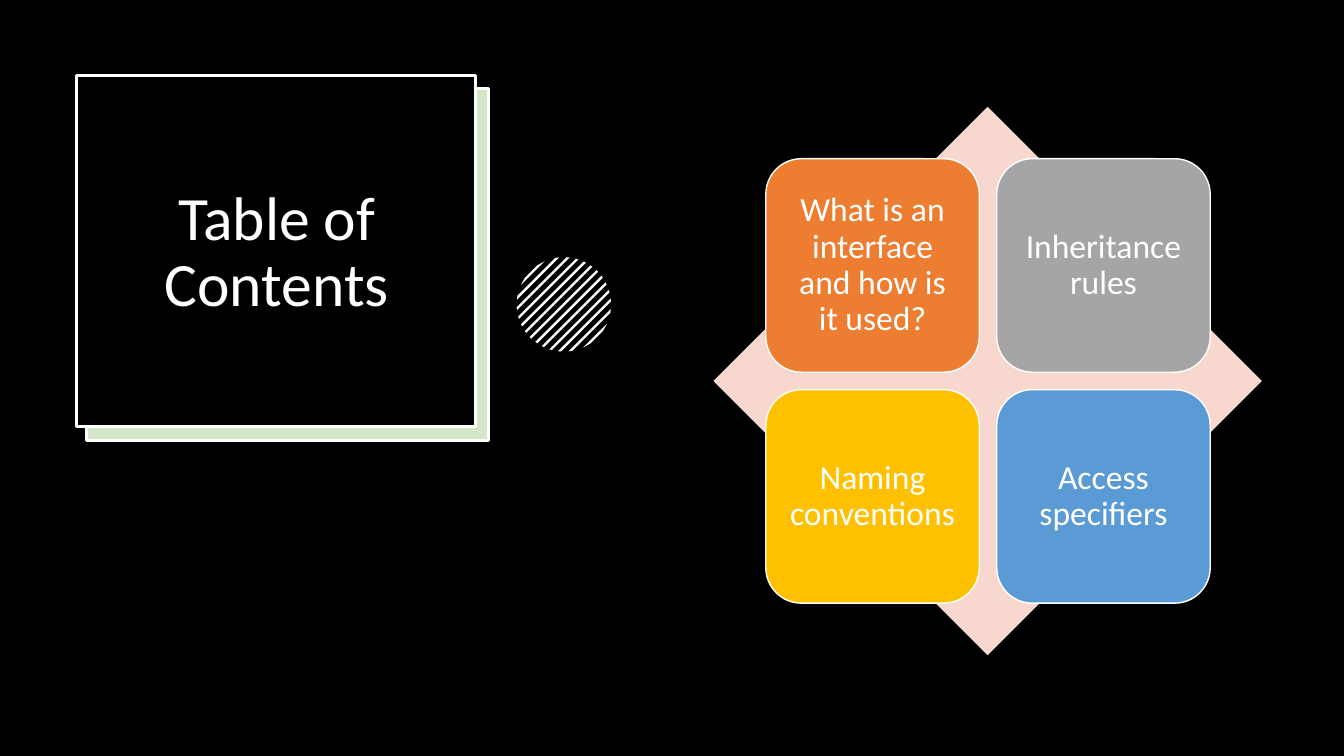
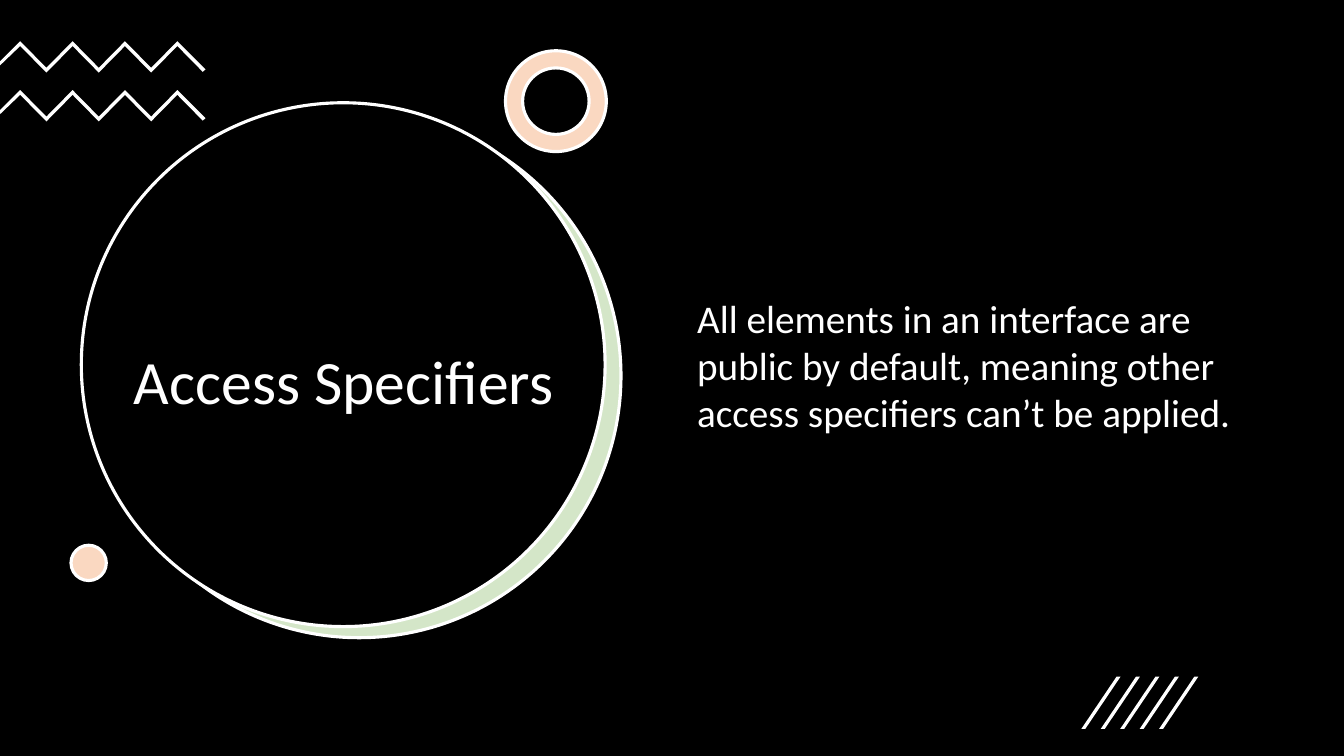
import math

import pptx
import pptx.dml.color
import pptx.enum.shapes
import pptx.enum.text
import pptx.util

Cm = pptx.util.Cm
Pt = pptx.util.Pt
RGBColor = pptx.dml.color.RGBColor
SHAPE = pptx.enum.shapes.MSO_SHAPE
ALIGN = pptx.enum.text.PP_ALIGN

BLACK = RGBColor(0x00, 0x00, 0x00)
WHITE = RGBColor(0xFF, 0xFF, 0xFF)
PALE_GREEN = RGBColor(0xD4, 0xE6, 0xC8)
PALE_ORANGE = RGBColor(0xFA, 0xD8, 0xC1)
PINK = RGBColor(0xF8, 0xD7, 0xCE)
ORANGE = RGBColor(0xED, 0x7D, 0x31)
GRAY = RGBColor(0xA5, 0xA5, 0xA5)
GOLD = RGBColor(0xFF, 0xC0, 0x00)
BLUE = RGBColor(0x5B, 0x9B, 0xD5)


class Deck:
    """Holds the shared style and the current slide."""

    font = "Calibri"
    title_size = 44
    outline = 2.25

    def __init__(self):
        self.prs = pptx.Presentation()
        self.prs.slide_width = Cm(33.87)
        self.prs.slide_height = Cm(19.05)
        self.s = None

    def new_slide(self):
        self.s = self.prs.slides.add_slide(self.prs.slide_layouts[5])
        fill = self.s.background.fill
        fill.solid()
        fill.fore_color.rgb = BLACK

    def set_text(self, sp, text, size, align, spacing=None, before=0):
        tf = sp.text_frame
        tf.text = text
        tf.word_wrap = True
        tf.auto_size = pptx.enum.text.MSO_AUTO_SIZE.NONE
        tf.vertical_anchor = pptx.enum.text.MSO_ANCHOR.MIDDLE
        p = tf.paragraphs[0]
        p.alignment = align
        p.line_spacing = spacing
        p.space_before = Pt(before)
        r = p.runs[0]
        r.font.name = self.font
        r.font.size = Pt(size)
        r.font.color.rgb = WHITE

    def paint(self, sp, fill, line=None):
        sp.shadow.inherit = False
        sp.fill.solid()
        sp.fill.fore_color.rgb = fill
        if line is None:
            sp.line.fill.background()
        else:
            sp.line.color.rgb = WHITE
            sp.line.width = Pt(line)

    def title(self, text, x, y, w, h):
        sp = self.s.shapes.title
        sp.left, sp.top, sp.width, sp.height = Cm(x), Cm(y), Cm(w), Cm(h)
        self.set_text(sp, text, self.title_size, ALIGN.CENTER, 0.9)
        # Bring the title in front of its panel
        sp.element.getparent().append(sp.element)

    def shape(self, kind, x, y, w, h, fill, line=None):
        sp = self.s.shapes.add_shape(kind, Cm(x), Cm(y), Cm(w), Cm(h))
        self.paint(sp, fill, line)
        return sp

    def tile(self, text, x, y, size, fill):
        sp = self.shape(SHAPE.ROUNDED_RECTANGLE, x, y, size, size, fill, 1)
        tf = sp.text_frame
        tf.margin_left = tf.margin_right = Cm(0.25)
        tf.margin_top = tf.margin_bottom = Cm(0.25)
        self.set_text(sp, text, 24, ALIGN.CENTER, 0.9)

    def body(self, text, x, y, w, h):
        sp = self.s.shapes.add_textbox(Cm(x), Cm(y), Cm(w), Cm(h))
        self.set_text(sp, text, 28, ALIGN.LEFT, before=10)

    def polygon(self, points):
        pts = [(Cm(x), Cm(y)) for x, y in points]
        fb = self.s.shapes.build_freeform(*pts[0])
        fb.add_line_segments(pts[1:], close=True)
        self.paint(fb.convert_to_shape(), WHITE)

    def striped_circle(self, cx, cy, radius, count, pitch, width):
        """Draw diagonal bands whose ends lie on the circle."""
        k = math.sqrt(0.5)
        for i in range(count):
            middle = (i - (count - 1) / 2) * pitch
            points = []
            for d, side in ((middle - width / 2, 1), (middle + width / 2, -1)):
                half = math.sqrt(radius ** 2 - d ** 2)
                for t in (side * half, -side * half):
                    points.append((cx + k * (d + t), cy + k * (d - t)))
            self.polygon(points)

    def zigzag(self, y):
        """Draw a band that runs in from the left edge."""
        step, drop, thick = 0.66, 0.67, 0.12
        upper = [(0.51 + step * i, y + drop * (i % 2)) for i in range(7)]
        lower = [(px, py + thick) for px, py in reversed(upper)]
        tip = [(5.18, y + 0.71), (5.11, y + 0.77)]
        edge = [(0, y + 0.61), (0, y + 0.51)]
        self.polygon(upper + tip + lower + edge)

    def slashes(self, x, y, count, pitch):
        width, lean, height = 0.1, 0.89, 1.32
        for i in range(count):
            left = x + i * pitch
            self.polygon([(left, y + height), (left + lean, y),
                          (left + lean + width, y), (left + width, y + height)])


def contents_slide(deck):
    deck.new_slide()

    # Title panel with its offset backing
    deck.shape(SHAPE.RECTANGLE, 2.18, 2.24, 10.13, 8.86, PALE_GREEN, deck.outline)
    deck.shape(SHAPE.RECTANGLE, 1.93, 1.9, 10.06, 8.86, BLACK, deck.outline)
    deck.title("Table of Contents", 2.06, 2.39, 9.83, 8)
    deck.striped_circle(14.21, 7.67, 1.19, 13, 0.19, 0.06)

    # Topic matrix
    deck.shape(SHAPE.DIAMOND, 17.98, 2.69, 13.82, 13.82, PINK)
    topics = [("What is an interface and how is it used?", ORANGE),
              ("Inheritance rules", GRAY),
              ("Naming conventions", GOLD),
              ("Access specifiers", BLUE)]
    pitch = 5.82
    for i, (text, fill) in enumerate(topics):
        row, col = divmod(i, 2)
        deck.tile(text, 19.3 + col * pitch, 4 + row * pitch, 5.38, fill)


def access_slide(deck):
    deck.new_slide()

    # Title disc with its offset backing
    deck.shape(SHAPE.OVAL, 2.45, 2.87, 13.2, 13.2, PALE_GREEN, deck.outline)
    deck.shape(SHAPE.OVAL, 2.05, 2.59, 13.2, 13.2, BLACK, deck.outline)
    deck.title("Access Specifiers", 3.07, 5.21, 11.2, 8.94)

    # Ornaments
    for y in (1.04, 2.27):
        deck.zigzag(y)
    ring = deck.shape(SHAPE.DONUT, 12.74, 1.28, 2.54, 2.54, PALE_ORANGE, deck.outline)
    ring.adjustments[0] = 0.17
    deck.shape(SHAPE.OVAL, 1.79, 13.74, 0.89, 0.89, PALE_ORANGE, deck.outline)
    deck.slashes(27.25, 17.05, 5, 0.49)

    # Statement
    deck.body("All elements in an interface are public by default, meaning other "
              "access specifiers can’t be applied.", 17.32, 3.15, 14.5, 12.09)


def main():
    deck = Deck()
    contents_slide(deck)
    access_slide(deck)
    deck.prs.save("out.pptx")


if __name__ == "__main__":
    main()
